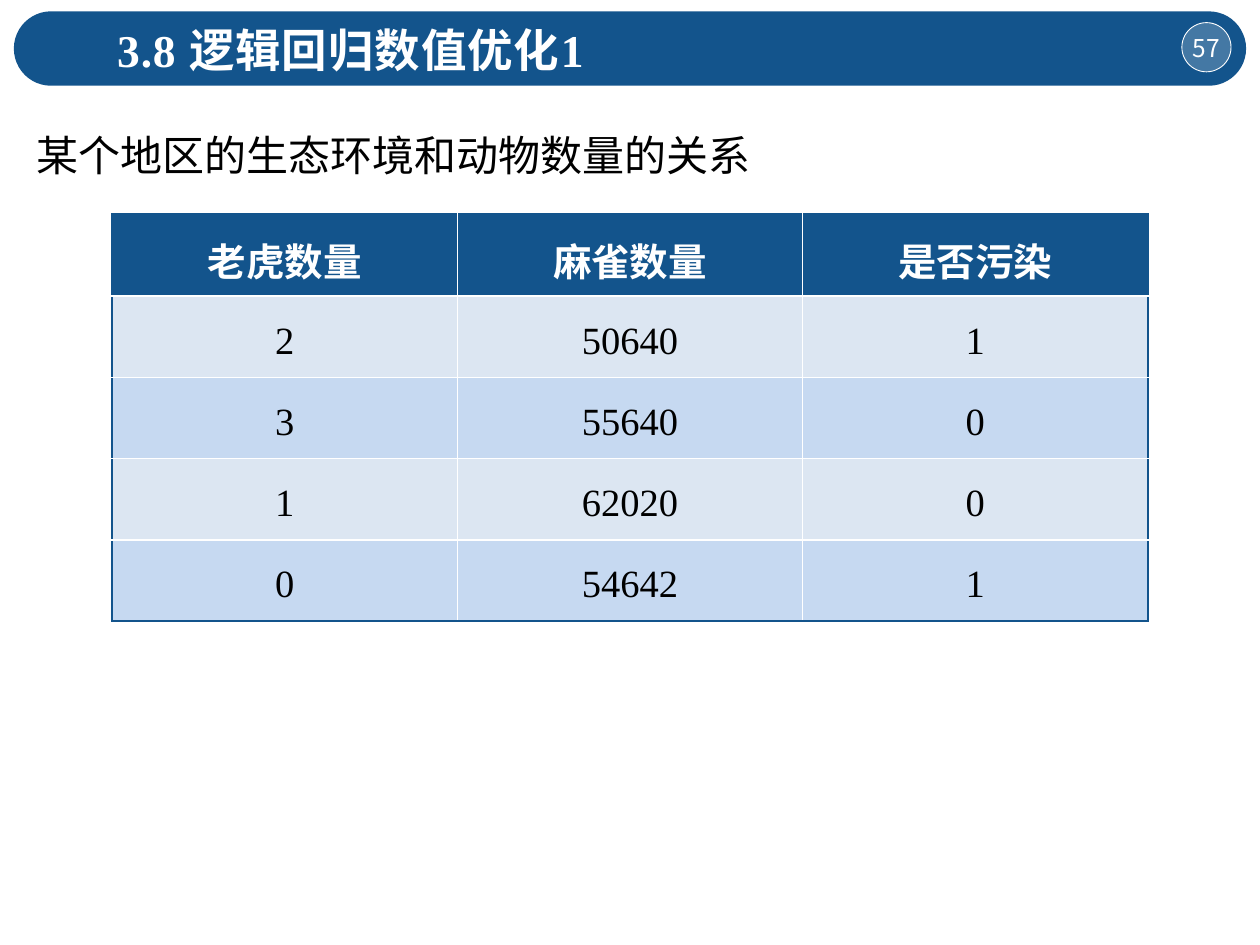
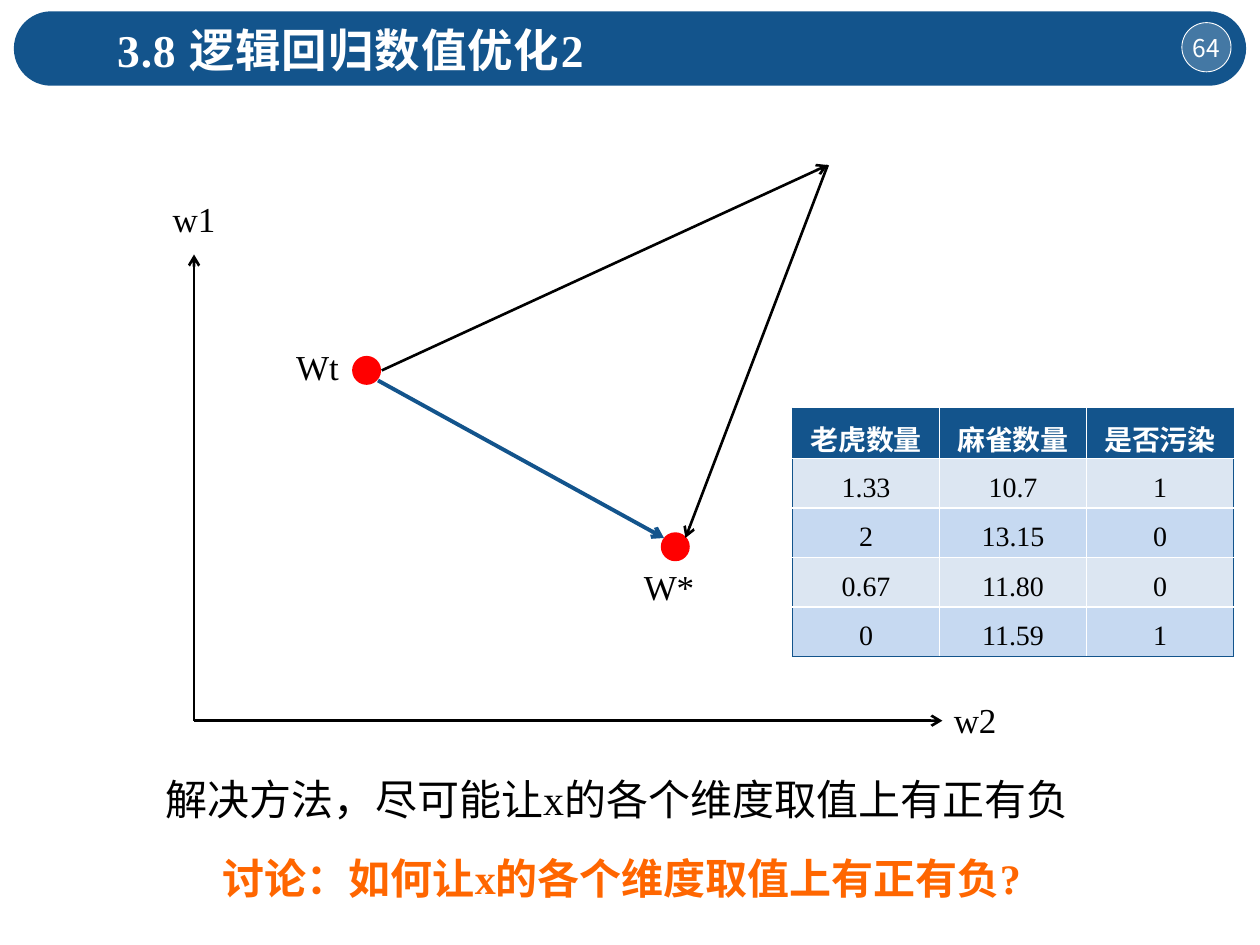
import lxml.etree
import pptx
import pptx.dml.color
import pptx.enum.shapes
import pptx.enum.text
import pptx.oxml.ns
import pptx.util
from pptx.util import Inches

SHAPE = pptx.enum.shapes.MSO_SHAPE
ALIGN = pptx.enum.text.PP_ALIGN
MIDDLE = pptx.enum.text.MSO_ANCHOR.MIDDLE
qn = pptx.oxml.ns.qn

NAVY, WHITE, BLACK = "13548C", "FFFFFF", "000000"
RED, ORANGE = "FF0000", "FF6600"
ROW_FILLS = ("DCE6F2", "C6D9F1")
SERIF, SANS = "Times New Roman", "Noto Sans CJK SC"

TABLE_HEADER = ("老虎数量", "麻雀数量", "是否污染")
RAW_COUNTS = [
    ("2", "50640", "1"),
    ("3", "55640", "0"),
    ("1", "62020", "0"),
    ("0", "54642", "1"),
]
SCALED_COUNTS = [
    ("1.33", "10.7", "1"),
    ("2", "13.15", "0"),
    ("0.67", "11.80", "0"),
    ("0", "11.59", "1"),
]

ORIGIN = (1.54, 5.72)
DETOUR = (6.57, 1.31)
# start, end, colour, width in points
ARROWS = [
    (ORIGIN, (1.54, 2.02), BLACK, 1.5),
    (ORIGIN, (7.48, 5.72), BLACK, 1.5),
    ((3.03, 2.94), DETOUR, BLACK, 1.5),
    (DETOUR, (5.44, 4.27), BLACK, 1.5),
    ((3.0, 3.02), (5.27, 4.27), NAVY, 2.25),
]
WEIGHT_CENTRES = [(2.91, 2.94), (5.36, 4.34)]
WEIGHT_DIAMETER = 0.23
# text, left, top, width, alignment
GRAPH_LABELS = [
    ("w1", 1.3, 1.57, 0.48, ALIGN.CENTER),
    ("w2", 7.57, 5.54, 0.6, ALIGN.LEFT),
    ("W*", 5.11, 4.49, 0.5, ALIGN.LEFT),
    ("Wt", 2.35, 2.74, 0.39, ALIGN.LEFT),
]


def color(hex_string):
    return pptx.dml.color.RGBColor.from_string(hex_string)


def inches(*lengths):
    return [Inches(length) for length in lengths]


def add_run(paragraph, text, size, text_color, bold=False, font=SERIF, spacing=None):
    run = paragraph.add_run()
    run.text = text
    run.font.size = pptx.util.Pt(size)
    run.font.bold = bold
    run.font.color.rgb = color(text_color)
    run.font.name = font
    properties = run.font._element
    lxml.etree.SubElement(properties, qn("a:ea")).set("typeface", SANS)
    if spacing is not None:
        properties.set("spc", str(round(spacing * 100)))


def set_margins(item, left=0, top=0, right=0, bottom=0):
    item.margin_left, item.margin_top, item.margin_right, item.margin_bottom = inches(
        left, top, right, bottom
    )


def add_text(slide, text, box, size, text_color=BLACK, align=ALIGN.LEFT,
             bold=False, spacing=None, line_spacing=None):
    frame = slide.shapes.add_textbox(*inches(*box)).text_frame
    frame.word_wrap = True
    set_margins(frame)
    paragraph = frame.paragraphs[0]
    paragraph.alignment = align
    if line_spacing:
        paragraph.line_spacing = line_spacing
    add_run(paragraph, text, size, text_color, bold, spacing=spacing)


def add_filled_shape(slide, kind, box, fill):
    shape = slide.shapes.add_shape(kind, *inches(*box))
    shape.shadow.inherit = False
    shape.fill.solid()
    shape.fill.fore_color.rgb = color(fill)
    shape.line.fill.background()
    return shape


def add_arrow(slide, start, end, line_color, width):
    connector = slide.shapes.add_connector(
        pptx.enum.shapes.MSO_CONNECTOR.STRAIGHT, *inches(*start, *end)
    )
    connector.line.color.rgb = color(line_color)
    connector.line.width = pptx.util.Pt(width)
    line = connector.line._get_or_add_ln()
    lxml.etree.SubElement(line, qn("a:tailEnd")).set("type", "arrow")
    lxml.etree.SubElement(connector._element.spPr, qn("a:effectLst"))


def set_borders(cell, edge_colors):
    """Draw 1 pt borders; edge_colors is in the order left, right, top, bottom."""
    properties = cell._tc.get_or_add_tcPr()
    for position, (edge, edge_color) in enumerate(zip("LRTB", edge_colors)):
        line = lxml.etree.Element(qn("a:ln" + edge), w=str(pptx.util.Pt(1)))
        fill = lxml.etree.SubElement(line, qn("a:solidFill"))
        lxml.etree.SubElement(fill, qn("a:srgbClr")).set("val", edge_color)
        properties.insert(position, line)


def add_count_table(slide, counts, box, size, header_height):
    rows = [TABLE_HEADER, *counts]
    column_count = len(TABLE_HEADER)
    table = slide.shapes.add_table(len(rows), column_count, *inches(*box)).table
    for column in table.columns:
        column.width = Inches(box[2] / column_count)
    for row in table.rows:
        row.height = Inches((box[3] - header_height) / len(counts))
    table.rows[0].height = Inches(header_height)
    for row_index, values in enumerate(rows):
        is_header = row_index == 0
        for column_index, value in enumerate(values):
            cell = table.cell(row_index, column_index)
            set_margins(cell, top=0.07)
            cell.vertical_anchor = MIDDLE
            cell.fill.solid()
            cell.fill.fore_color.rgb = color(
                NAVY if is_header else ROW_FILLS[(row_index - 1) % 2]
            )
            outer_edges = (
                column_index == 0,
                column_index == column_count - 1,
                is_header,
                row_index == len(rows) - 1,
            )
            set_borders(cell, [NAVY if outer else WHITE for outer in outer_edges])
            paragraph = cell.text_frame.paragraphs[0]
            paragraph.alignment = ALIGN.CENTER
            add_run(paragraph, value, size, WHITE if is_header else BLACK, is_header)


def add_page(presentation, title_text, number):
    """Add a slide with the title band and its numbered badge."""
    slide = presentation.slides.add_slide(presentation.slide_layouts[5])
    band = add_filled_shape(slide, SHAPE.ROUNDED_RECTANGLE, (0.11, 0.09, 9.78, 0.59), NAVY)
    band.adjustments[0] = 0.5

    badge = add_filled_shape(slide, SHAPE.OVAL, (9.38, 0.18, 0.39, 0.39), WHITE)
    badge_color = badge._element.spPr.find(".//" + qn("a:srgbClr"))
    lxml.etree.SubElement(badge_color, qn("a:alpha")).set("val", "21000")
    badge.line.color.rgb = color(WHITE)
    badge.line.width = pptx.util.Pt(0.5)
    frame = badge.text_frame
    set_margins(frame)
    frame.word_wrap = False
    frame.vertical_anchor = MIDDLE
    frame.paragraphs[0].alignment = ALIGN.CENTER
    add_run(frame.paragraphs[0], str(number), 14, WHITE, font=SANS)

    title = slide.shapes.title
    title.left, title.top, title.width, title.height = inches(0.83, 0.12, 7.42, 0.54)
    title.text_frame.auto_size = pptx.enum.text.MSO_AUTO_SIZE.NONE
    title.text_frame.vertical_anchor = MIDDLE
    title.text_frame.paragraphs[0].alignment = ALIGN.LEFT
    add_run(title.text_frame.paragraphs[0], title_text, 26, WHITE, True, spacing=0.5)
    slide.shapes._spTree.append(title._element)  # bring the title in front of the band
    return slide


def build_raw_data_slide(presentation):
    slide = add_page(presentation, "3.8 逻辑回归数值优化1", 57)
    add_text(slide, "某个地区的生态环境和动物数量的关系", (0.29, 0.83, 6.66, 0.53), 24,
             line_spacing=1.5)
    add_count_table(slide, RAW_COUNTS, (0.89, 1.7, 8.22, 3.23), 22, 0.65)


def build_descent_slide(presentation):
    slide = add_page(presentation, "3.8 逻辑回归数值优化2", 64)
    for text, left, top, width, align in GRAPH_LABELS:
        add_text(slide, text, (left, top, width, 0.34), 20, align=align, spacing=-0.1)
    for x, y in WEIGHT_CENTRES:
        radius = WEIGHT_DIAMETER / 2
        add_filled_shape(slide, SHAPE.OVAL,
                         (x - radius, y - radius, WEIGHT_DIAMETER, WEIGHT_DIAMETER), RED)
    for arrow in ARROWS:
        add_arrow(slide, *arrow)
    add_text(slide, "解决方法，尽可能让x的各个维度取值上有正有负",
             (0.51, 6.14, 8.77, 0.4), 24, align=ALIGN.CENTER)
    add_text(slide, "讨论：如何让x的各个维度取值上有正有负?",
             (1.77, 6.77, 6.56, 0.4), 24, ORANGE, bold=True)
    add_count_table(slide, SCALED_COUNTS, (6.29, 3.24, 3.5, 1.97), 16, 0.4)


def main():
    presentation = pptx.Presentation()
    presentation.slide_width, presentation.slide_height = inches(10, 7.5)
    build_raw_data_slide(presentation)
    build_descent_slide(presentation)
    presentation.save("out.pptx")


if __name__ == "__main__":
    main()
